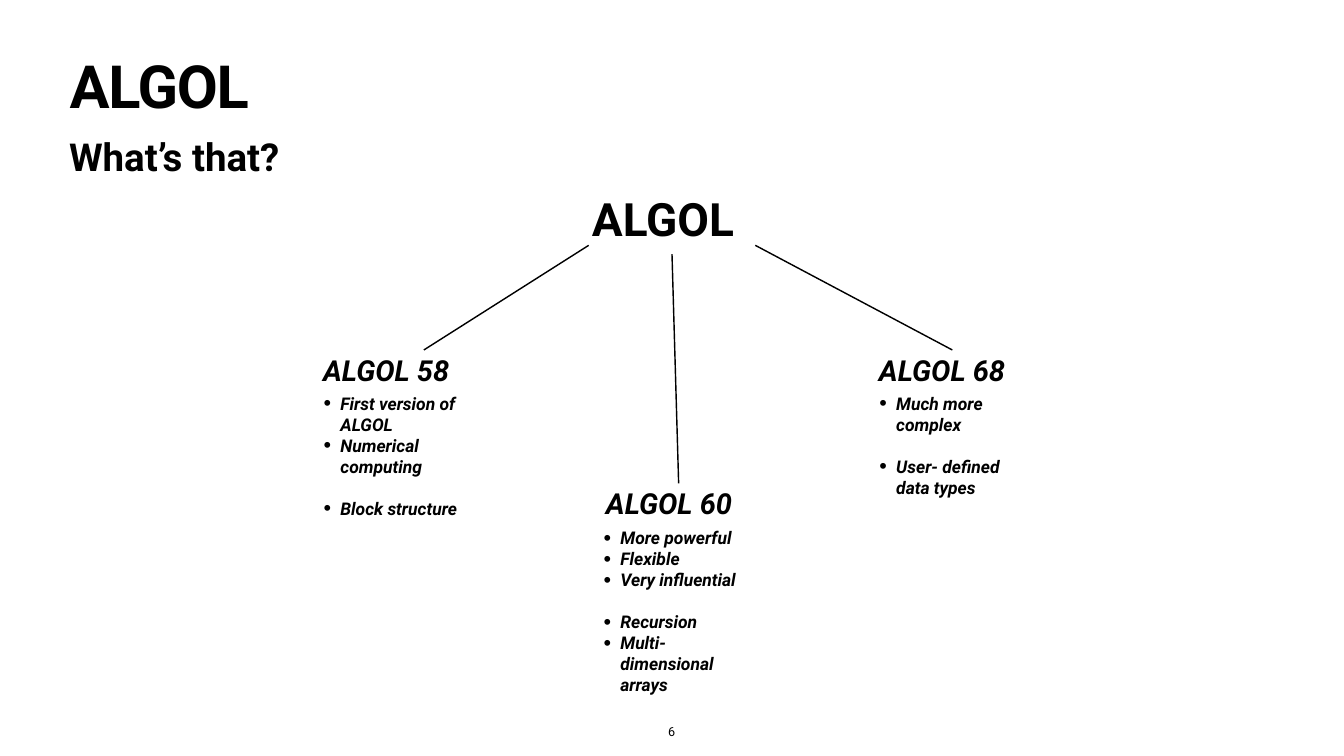
from lxml import etree
from pptx import Presentation
from pptx.dml.color import RGBColor
from pptx.enum import shapes, text
from pptx.oxml import ns
from pptx.util import Pt

INK = {"text": "000000", "line": "000000", "back": "FFFFFF"}
HEAD = {"size": Pt(41.3), "bold": True, "italic": True}
ITEM = {"size": Pt(25), "bold": True, "italic": True}
GAP = Pt(30)
NODES = [
    ((458, 500, 214, 73), "ALGOL 58", (458, 557, 204, 217),
     [["First version of ALGOL", "Numerical computing"], ["Block structure"]]),
    ((862, 690.5, 215, 73), "ALGOL 60", (858, 749, 204, 307),
     [["More powerful", "Flexible", "Very influential"],
      ["Recursion", "Multi-dimensional arrays"]]),
    ((1252, 500, 217, 73), "ALGOL 68", (1252, 557, 204, 187),
     [["Much more complex"], ["User- defined data types"]]),
]


def style(run, form):
    """Apply a dict of font values to a run."""
    run.font.name = "Roboto"
    run.font.color.rgb = RGBColor.from_string(INK["text"])
    for key, val in form.items():
        setattr(run.font, key, val)


def set_up(shape, inset, wrap=True, anchor=text.MSO_ANCHOR.TOP):
    """Set the margins, wrap and anchor of a text frame."""
    frame = shape.text_frame
    form = {"word_wrap": wrap, "vertical_anchor": anchor,
            "auto_size": text.MSO_AUTO_SIZE.NONE}
    form.update({f"margin_{side}": Pt(inset)
                 for side in ("left", "top", "right", "bottom")})
    for key, val in form.items():
        setattr(frame, key, val)
    return frame


def add_box(slide, box):
    """Add an empty text box."""
    return slide.shapes.add_textbox(*map(Pt, box))


def add_label(slide, box, words, form, inset=3.6, space=None, **frame):
    """Add a text box with one line of text."""
    shape = add_box(slide, box)
    para = set_up(shape, inset, **frame).paragraphs[0]
    para.line_spacing = space
    run = para.add_run()
    run.text = words
    style(run, form)
    return shape


def add_title(slide, box, words):
    """Place and format the title placeholder."""
    shape = slide.shapes.title
    for key, val in zip(("left", "top", "width", "height"), box):
        setattr(shape, key, Pt(val))
    para = set_up(shape, 4.3).paragraphs[0]
    para.alignment = text.PP_ALIGN.LEFT
    para.line_spacing = 0.8
    run = para.add_run()
    run.text = words
    style(run, {"size": Pt(85), "bold": True})
    run.font._element.set("spc", "-170")


def add_bullet(para):
    """Give a paragraph a hanging bullet."""
    props = para._p.get_or_add_pPr()
    props.set("marL", str(Pt(24)))
    props.set("indent", str(-Pt(24)))
    for tag, key, val in (("a:buSzPct", "val", "123000"),
                          ("a:buFont", "typeface", "Arial"),
                          ("a:buChar", "char", "•")):
        etree.SubElement(props, ns.qn(tag)).set(key, val)


def add_list(slide, box, groups):
    """Add groups of bullets with a gap between groups."""
    frame = set_up(add_box(slide, box), 4.3)
    para = frame.paragraphs[0]
    for g, group in enumerate(groups):
        for i, words in enumerate(group):
            if g or i:
                para = frame.add_paragraph()
            para.space_before = GAP if g and not i else Pt(0)
            add_bullet(para)
            run = para.add_run()
            run.text = words
            style(run, ITEM)


def add_line(slide, start, end):
    """Add a plain straight line."""
    line = slide.shapes.add_connector(
        shapes.MSO_CONNECTOR.STRAIGHT, *map(Pt, start + end))
    line.line.color.rgb = RGBColor.from_string(INK["line"])
    line.line.width = Pt(2)
    etree.SubElement(line._element.spPr, ns.qn("a:effectLst"))
    return line


def main():
    """Build the slide and save it."""
    deck = Presentation()
    deck.slide_width, deck.slide_height = Pt(1920), Pt(1080)
    slide = deck.slides.add_slide(deck.slide_layouts[5])
    slide.background.fill.solid()
    slide.background.fill.fore_color.rgb = RGBColor.from_string(INK["back"])

    add_title(slide, (95, 85, 1730, 113), "ALGOL")
    add_label(slide, (95, 187, 1730, 73), "What’s that?",
              {"size": Pt(55), "bold": True})
    root = add_label(slide, (842, 277, 236, 86), "ALGOL",
                     {"size": Pt(65.6), "bold": True}, space=0.9)
    heads = []
    for spot, name, box, groups in NODES:
        heads.append(add_label(slide, spot, name, HEAD))
        add_list(slide, box, groups)

    add_line(slide, (605.5, 500), (841, 350.5))
    mid = add_line(slide, (970, 690.5), (960, 363))
    mid.begin_connect(heads[1], 0)
    mid.end_connect(root, 2)
    add_line(slide, (1361, 500), (1079, 350.5)).begin_connect(heads[2], 0)

    page = add_label(slide, (950, 1030, 19, 30), "6", {"size": Pt(18)},
                     inset=4.3, wrap=False, anchor=text.MSO_ANCHOR.BOTTOM)
    page.text_frame.paragraphs[0].alignment = text.PP_ALIGN.CENTER

    deck.save("out.pptx")


if __name__ == "__main__":
    main()
